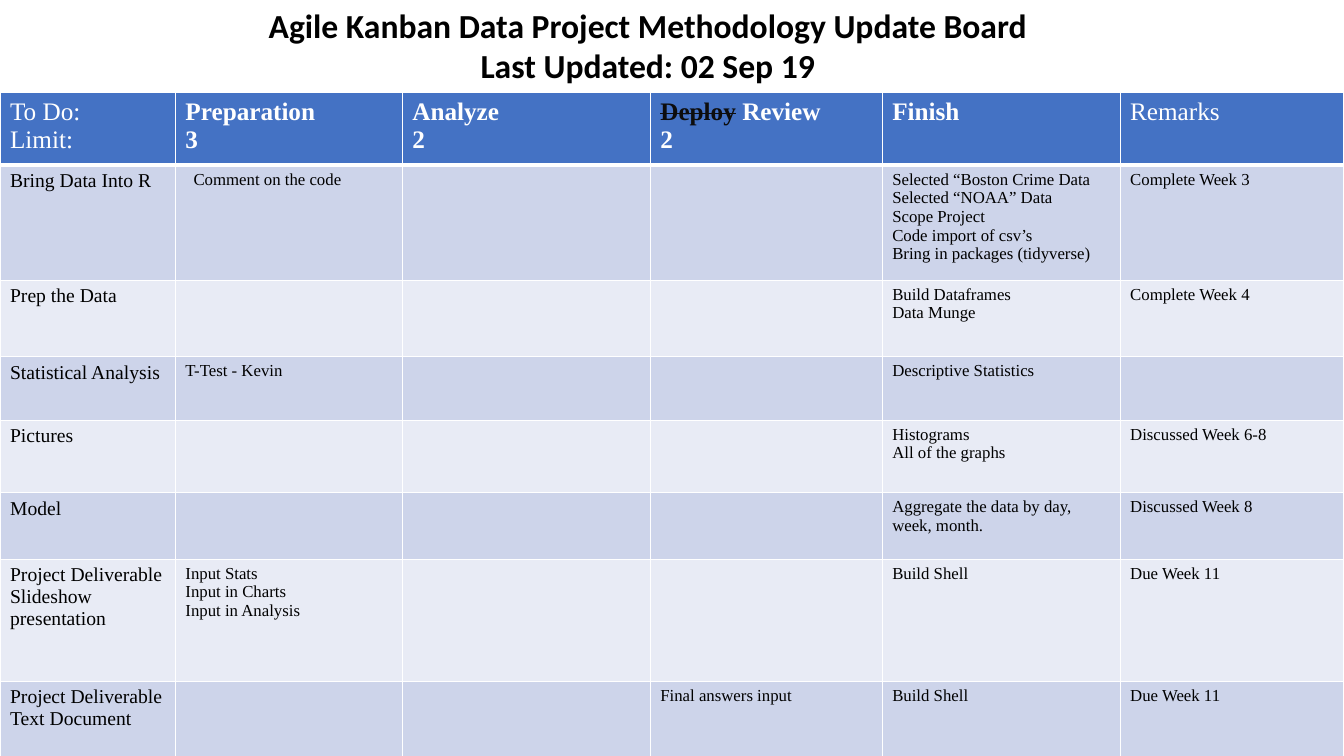
from dataclasses import dataclass

from lxml import etree
from pptx import Presentation
from pptx.dml.color import RGBColor
from pptx.enum.text import MSO_ANCHOR, MSO_AUTO_SIZE, PP_ALIGN
from pptx.oxml.ns import qn
from pptx.util import Inches, Pt

TOP = MSO_ANCHOR.TOP
CENTER = PP_ALIGN.CENTER
NO_FIT = MSO_AUTO_SIZE.NONE
WIDE, HIGH = 13.33, 7.5


@dataclass(frozen=True)
class Theme:
    """Colours, fonts, type sizes and line widths."""
    head: str = "4472C4"
    bands: tuple = ("CDD4EA", "E8EBF5")
    ink: str = "000000"
    light: str = "FFFFFF"
    struck: str = "0D0D0D"
    sans: str = "Calibri"
    serif: str = "Times New Roman"
    title: int = 24
    label: int = 18
    task: int = 14
    note: int = 12
    thin: int = 1
    thick: int = 3


THEME = Theme()

# Relative widths and heights of the board's grid
COLS = [1.74, 2.25, 2.46, 2.3, 2.36, 2.22]
ROWS = [0.72, 1.14, 0.76, 0.63, 0.72, 0.66, 1.21, 0.77]

TITLE = ["Agile Kanban Data Project Methodology Update Board",
         "Last Updated: 02 Sep 19"]

# A part between tildes is struck through
STAGES = ["To Do:\nLimit:", "Preparation\n3", "Analyze\n2",
          "~Deploy~ Review\n2", "Finish", "Remarks"]
PLAIN = {"To Do:\nLimit:", "Remarks"}

TASKS = [
    ["Bring Data Into R", "Comment on the code", "", "",
     "Selected “Boston Crime Data\nSelected “NOAA” Data\nScope Project\n"
     "Code import of csv’s\nBring in packages (tidyverse)",
     "Complete Week 3"],
    ["Prep the Data", "", "", "", "Build Dataframes\nData Munge",
     "Complete Week 4"],
    ["Statistical Analysis", "T-Test - Kevin", "", "",
     "Descriptive Statistics", ""],
    ["Pictures", "", "", "", "Histograms\nAll of the graphs",
     "Discussed Week 6-8"],
    ["Model", "", "", "", "Aggregate the data by day, week, month.",
     "Discussed Week 8"],
    ["Project Deliverable\nSlideshow presentation",
     "Input Stats\nInput in Charts\nInput in Analysis", "", "",
     "Build Shell", "Due Week 11"],
    ["Project Deliverable\nText Document", "", "", "Final answers input",
     "Build Shell", "Due Week 11"],
]
INDENT = {"Comment on the code": 0.08}


def write(frame, lines, size, font, color, bold=False, align=None, indent=0):
    """Fill a text frame, one paragraph a line, in the given format."""
    for num, line in enumerate(lines):
        para = frame.add_paragraph() if num else frame.paragraphs[0]
        if align is not None:
            para.alignment = align
        if indent:
            para._p.get_or_add_pPr().set("indent", str(Inches(indent)))
        for part, text in enumerate(line.split("~")):
            if not text:
                continue
            run = para.add_run()
            run.text = text
            face = run.font
            face.size, face.name, face.bold = Pt(size), font, bold
            struck = part % 2 == 1
            face.color.rgb = RGBColor.from_string(
                THEME.struck if struck else color)
            if struck:
                run._r.get_or_add_rPr().set("strike", "sngStrike")


def paint(cell, fill, top, base):
    """Give a cell its fill and its four white edges."""
    props = cell._tc.get_or_add_tcPr()
    edges = {"L": THEME.thin, "R": THEME.thin, "T": top, "B": base}
    for side, width in edges.items():
        line = etree.SubElement(props, qn(f"a:ln{side}"), w=str(Pt(width)))
        solid = etree.SubElement(line, qn("a:solidFill"))
        etree.SubElement(solid, qn("a:srgbClr"), val=THEME.light)
    cell.fill.solid()
    cell.fill.fore_color.rgb = RGBColor.from_string(fill)


def spread(parts, total):
    """Share a length among the parts by weight."""
    return [Inches(total * part / sum(parts)) for part in parts]


def head(slide, box):
    """Place the two centred title lines in the box."""
    title = slide.shapes.title
    title.left, title.top, title.width, title.height = map(Inches, box)
    frame = title.text_frame
    frame.word_wrap, frame.auto_size = True, NO_FIT
    frame.vertical_anchor = TOP
    write(frame, TITLE, THEME.title, THEME.sans, THEME.ink,
          bold=True, align=CENTER)


def board(slide, box):
    """Draw the board of tasks by stage in the box."""
    grid = slide.shapes.add_table(len(ROWS), len(COLS),
                                  *map(Inches, box)).table
    for col, width in zip(grid.columns, spread(COLS, box[2])):
        col.width = width
    for row, height in zip(grid.rows, spread(ROWS, box[3])):
        row.height = height
    for y, texts in enumerate([STAGES] + TASKS):
        fill = THEME.bands[(y - 1) % 2] if y else THEME.head
        top = THEME.thick if y == 1 else THEME.thin
        base = THEME.thin if y else THEME.thick
        for x, text in enumerate(texts):
            cell = grid.cell(y, x)
            paint(cell, fill, top, base)
            if y == 0:
                size, color = THEME.label, THEME.light
            else:
                size = THEME.note if x else THEME.task
                color = THEME.ink
            write(cell.text_frame, text.split("\n"), size, THEME.serif,
                  color, bold=y == 0 and text not in PLAIN,
                  indent=INDENT.get(text, 0))


def main():
    """Build and save the slide."""
    deck = Presentation()
    deck.slide_width, deck.slide_height = Inches(WIDE), Inches(HIGH)
    slide = deck.slides.add_slide(deck.slide_layouts.get_by_name("Title Only"))
    board(slide, (0, 0.92, WIDE, sum(ROWS)))
    head(slide, (0.13 * WIDE, 0, 0.704 * WIDE, 0.91))
    deck.save("out.pptx")


main()
